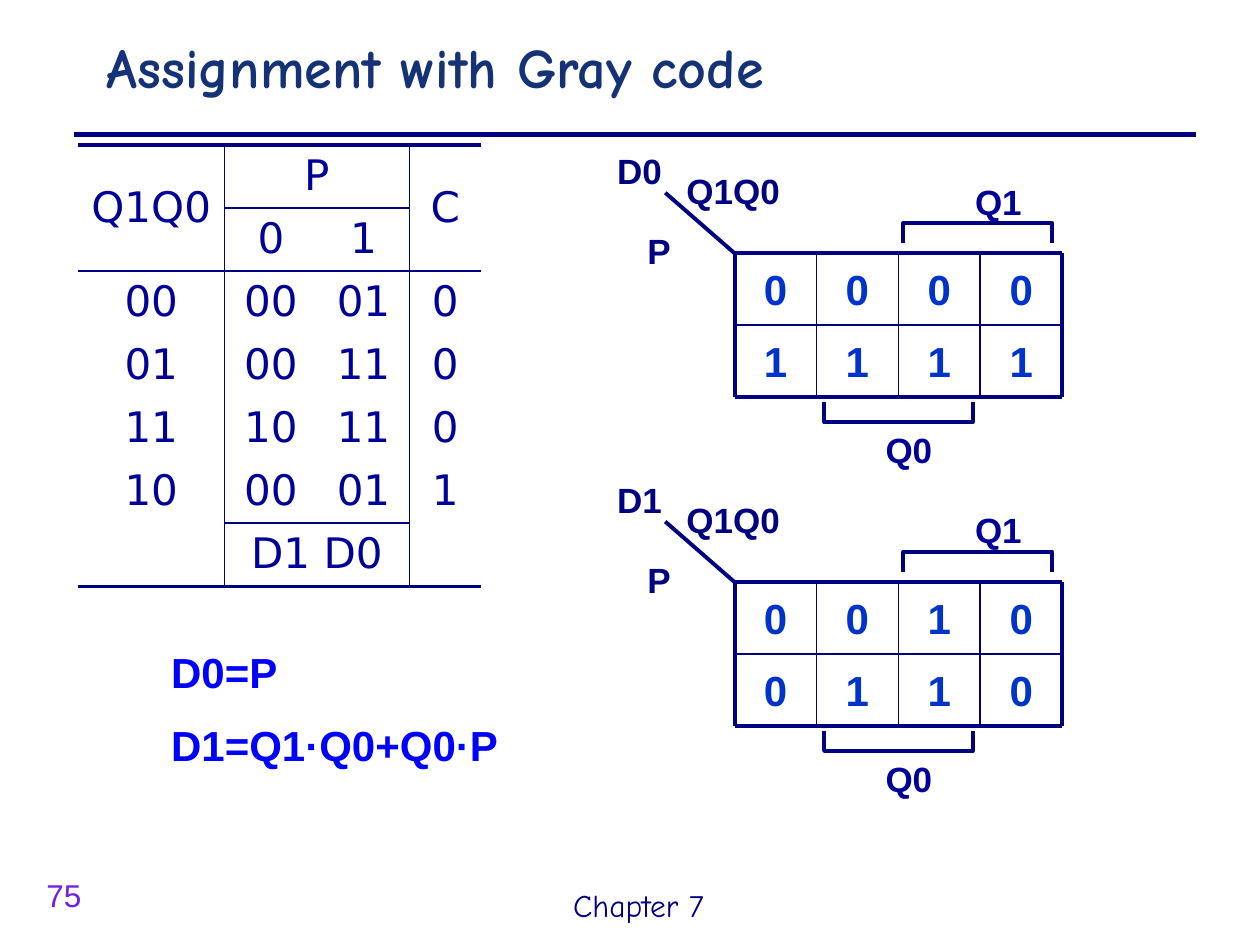
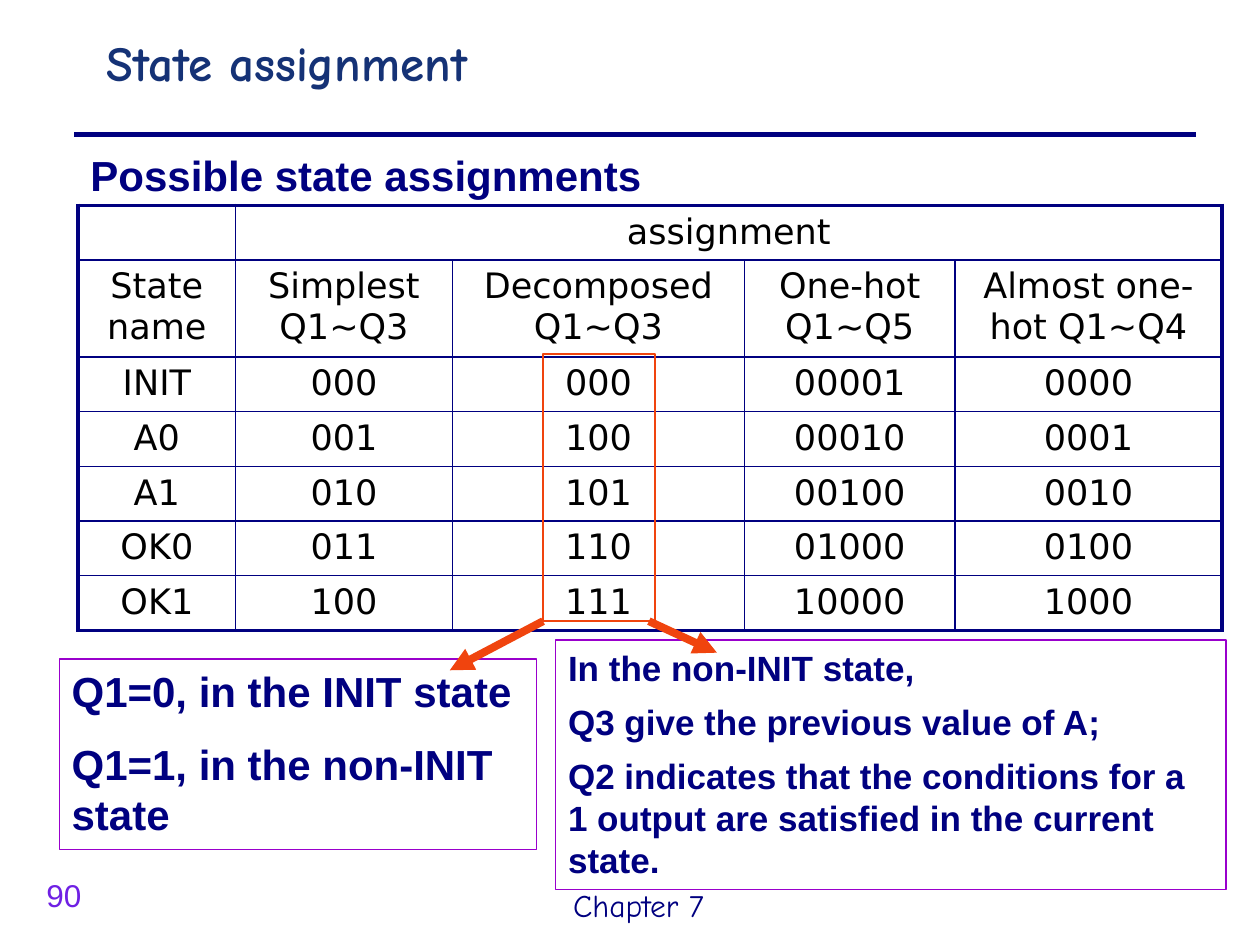
import pptx
import pptx.util
import pptx.dml.color
import pptx.enum.shapes
import pptx.enum.text
import pptx.oxml.ns
import lxml.etree
from dataclasses import dataclass

Inches, Pt = pptx.util.Inches, pptx.util.Pt
RGB = pptx.dml.color.RGBColor.from_string
ALIGN = pptx.enum.text.PP_ALIGN
ANCHOR = pptx.enum.text.MSO_ANCHOR
SHAPE = pptx.enum.shapes.MSO_SHAPE
qn = pptx.oxml.ns.qn


@dataclass(frozen=True)
class Theme:
    navy: str = "000080"
    ink: str = "000099"
    value: str = "0033CC"
    equation: str = "0000FF"
    title: str = "153276"
    number: str = "6F20E4"
    accent: str = "F0440E"
    note: str = "9900CC"
    black: str = "000000"
    head_font: str = "Comic Neue"
    body_font: str = "Arial"
    table_font: str = "DejaVu Sans"
    large: int = 24
    medium: int = 20
    small: int = 18
    thick: float = 2.25
    thin: float = 1


T = Theme()


def add_text(slide, at, lines, size, color, font=T.body_font, bold=True,
             gap=0, align=ALIGN.LEFT, anchor=ANCHOR.TOP):
    box = slide.shapes.add_textbox(*map(Inches, at))
    frame = box.text_frame
    frame.word_wrap = True
    frame.vertical_anchor = anchor
    frame.text = "\n".join(lines)
    for i, paragraph in enumerate(frame.paragraphs):
        paragraph.alignment = align
        if i:
            paragraph.space_before = Pt(gap)
        run_font = paragraph.runs[0].font
        run_font.name, run_font.size, run_font.bold = font, Pt(size), bold
        run_font.color.rgb = RGB(color)
    return box


def add_line(slide, start, end, width, color=T.navy, arrow=False):
    line = slide.shapes.add_connector(
        pptx.enum.shapes.MSO_CONNECTOR.STRAIGHT, *map(Inches, (*start, *end)))
    line.line.color.rgb = RGB(color)
    line.line.width = Pt(width)
    if arrow:
        lxml.etree.SubElement(line.line._get_or_add_ln(), qn("a:tailEnd"), type="triangle")
    lxml.etree.SubElement(line._element.spPr, qn("a:effectLst"))


deck = pptx.Presentation()
deck.slide_width, deck.slide_height = Inches(10), Inches(7.5)

# Shared title, rule, footer and number
pages = []
for number, title, title_size in [("75", "Assignment with Gray code", 32),
                                  ("90", "State assignment", 28)]:
    page = deck.slides.add_slide(deck.slide_layouts[6])
    add_line(page, (0.59, 1.07), (9.49, 1.07), 3)
    add_text(page, (4.45, 6.98, 1.42, 0.4), ["Chapter 7"], T.small, T.navy, T.head_font, False)
    add_text(page, (0.27, 6.9, 0.71, 0.4), [number], T.small, T.number, bold=False)
    add_text(page, (0.75, 0.21, 8.74, 0.79), [title], title_size, T.title, T.head_font)
    pages.append(page)
gray_code, state_names = pages

# Tables: "across" and "down" map a grid line to its width and the cells it runs along
transition_table = dict(
    page=gray_code, at=(0.62, 1.15), size=T.large, color=T.ink,
    cols=[1.16, 0.74, 0.73, 0.57], rows=[0.49] * 7,
    merges=[(0, 0, 1, 0), (0, 1, 0, 2), (0, 3, 1, 3), (6, 1, 6, 2)],
    across={0: (T.thick, range(4)), 1: (T.thin, (1, 2)), 2: (T.thin, range(4)),
            6: (T.thin, (1, 2)), 7: (T.thick, range(4))},
    down={1: (T.thin, range(7)), 3: (T.thin, range(7))},
    cells=[["Q1Q0", "P", "", "C"],
           ["", "0", "1", ""],
           ["00", "00", "01", "0"],
           ["01", "00", "11", "0"],
           ["11", "10", "11", "0"],
           ["10", "00", "01", "1"],
           ["", "D1 D0", "", ""]])

state_row = (3.37 - 0.77) / 6
assignment_table = dict(
    page=state_names, at=(0.62, 1.63), size=T.medium, color=T.black,
    cols=[1.25, 1.72, 2.32, 1.67, 2.12], rows=[state_row, 0.77] + [state_row] * 5,
    merges=[(0, 1, 0, 4)],
    across={y: (T.thick if y in (0, 7) else T.thin, range(5)) for y in range(8)},
    down={0: (T.thick, range(7)), 1: (T.thin, range(7)),
          2: (T.thin, range(1, 7)), 3: (T.thin, range(1, 7)),
          4: (T.thin, range(1, 7)), 5: (T.thick, range(7))},
    cells=[["", "assignment", "", "", ""],
           ["State name", "Simplest Q1~Q3", "Decomposed Q1~Q3", "One-hot Q1~Q5",
            "Almost one-hot Q1~Q4"],
           ["INIT", "000", "000", "00001", "0000"],
           ["A0", "001", "100", "00010", "0001"],
           ["A1", "010", "101", "00100", "0010"],
           ["OK0", "011", "110", "01000", "0100"],
           ["OK1", "100", "111", "10000", "1000"]])

for data in (transition_table, assignment_table):
    cols, rows = data["cols"], data["rows"]
    table = data["page"].shapes.add_table(
        len(rows), len(cols), *map(Inches, (*data["at"], sum(cols), sum(rows)))).table
    table.first_row = table.horz_banding = False
    for column, width in zip(table.columns, cols):
        column.width = Inches(width)
    for row, height in zip(table.rows, rows):
        row.height = Inches(height)
    for top, left, bottom, right in data["merges"]:
        table.cell(top, left).merge(table.cell(bottom, right))
    for r, texts in enumerate(data["cells"]):
        for c, text in enumerate(texts):
            cell = table.cell(r, c)
            tall, wide = (cell.span_height, cell.span_width) if cell.is_merge_origin else (1, 1)
            if tall > 1:
                cell.vertical_anchor = ANCHOR.MIDDLE
            if text:
                cell.text_frame.text = text
                paragraph = cell.text_frame.paragraphs[0]
                paragraph.alignment = ALIGN.CENTER
                cell_font = paragraph.runs[0].font
                cell_font.name, cell_font.size = T.table_font, Pt(data["size"])
                cell_font.color.rgb = RGB(data["color"])
            # Cell borders, then the fill that must follow them
            for side, grid, at, along in [("L", "down", c, r), ("R", "down", c + wide, r),
                                          ("T", "across", r, c), ("B", "across", r + tall, c)]:
                width, reach = data[grid].get(at, (0, ()))
                border = lxml.etree.SubElement(cell._tc.get_or_add_tcPr(), qn("a:ln" + side))
                if along in reach:
                    border.set("w", str(int(Pt(width))))
                    fill = lxml.etree.SubElement(border, qn("a:solidFill"))
                    lxml.etree.SubElement(fill, qn("a:srgbClr"), val=T.navy)
                else:
                    lxml.etree.SubElement(border, qn("a:noFill"))
            cell.fill.background()

# Karnaugh maps
map_left, cell_w, cell_h = 5.83, 0.65, 0.57
map_right = map_left + 4 * cell_w
for output, top, bits in [("D0", 2.01, ["0000", "1111"]), ("D1", 4.62, ["0010", "0110"])]:
    bottom = top + 2 * cell_h
    for r, row_bits in enumerate(bits):
        for c, bit in enumerate(row_bits):
            add_text(gray_code, (map_left + c * cell_w, top + r * cell_h, cell_w, cell_h),
                     [bit], T.large, T.value, align=ALIGN.CENTER, anchor=ANCHOR.MIDDLE)
    for r in range(3):
        y = top + r * cell_h
        add_line(gray_code, (map_left, y), (map_right, y), T.thin if r == 1 else T.thick)
    for c in range(5):
        x = map_left + c * cell_w
        add_line(gray_code, (x, top), (x, bottom), T.thick if c in (0, 4) else T.thin)
    add_line(gray_code, (map_left, top), (5.28, top - 0.48), T.thick)

    # Axis labels and variable brackets
    for label, x, dy, width, color in [
            (output, 4.8, -0.87, 0.63, T.navy), ("P", 5.04, -0.24, 0.39, T.navy),
            ("Q1Q0", 5.35, -0.71, 0.94, T.navy), ("Q1", 7.64, -0.63, 0.63, T.ink),
            ("Q0", 6.93, 1.34, 0.63, T.ink)]:
        add_text(gray_code, (x, top + dy, width, 0.43), [label], T.medium, color)
    for x, dy, turn in [(7.68, -0.75, 90), (7.05, 0.67, 270)]:
        bracket = gray_code.shapes.add_shape(
            SHAPE.LEFT_BRACKET, *map(Inches, (x, top + dy, 0.16, 1.18)))
        bracket.adjustments[0] = 0
        bracket.rotation = turn
        bracket.shadow.inherit = False
        bracket.fill.background()
        bracket.line.color.rgb = RGB(T.navy)
        bracket.line.width = Pt(T.thick)

# Resulting equations
add_text(gray_code, (1.26, 5.08, 3.59, 1.1), ["D0=P", "D1=Q1·Q0+Q0·P"],
         T.large, T.equation, gap=13)

# State assignment heading and highlighted codes
add_text(state_names, (0.62, 1.14, 5.56, 0.5), ["Possible state assignments"], T.large, T.navy)
highlight = state_names.shapes.add_shape(SHAPE.RECTANGLE, *map(Inches, (4.31, 2.81, 0.89, 2.12)))
highlight.shadow.inherit = False
highlight.fill.background()
highlight.line.color.rgb = RGB(T.accent)
highlight.line.width = Pt(1.5)

# Notes and the arrows that lead to them
for at, lines, size, gap in [
        ((0.47, 5.23, 3.79, 1.51),
         ["Q1=0, in the INIT state", "Q1=1, in the non-INIT state"], T.large, 13),
        ((4.41, 5.08, 5.32, 1.98),
         ["In the non-INIT state,", "Q3 give the previous value of A;",
          "Q2 indicates that the conditions for a 1 output are satisfied in the current state."],
         T.medium, 7)]:
    note = add_text(state_names, at, lines, size, T.navy, gap=gap)
    note.line.color.rgb = RGB(T.note)
    note.line.width = Pt(0.75)
for start, end in [((4.31, 4.93), (3.57, 5.32)), ((5.15, 4.93), (5.69, 5.18))]:
    add_line(state_names, start, end, 4.5, T.accent, arrow=True)

deck.save("out.pptx")
